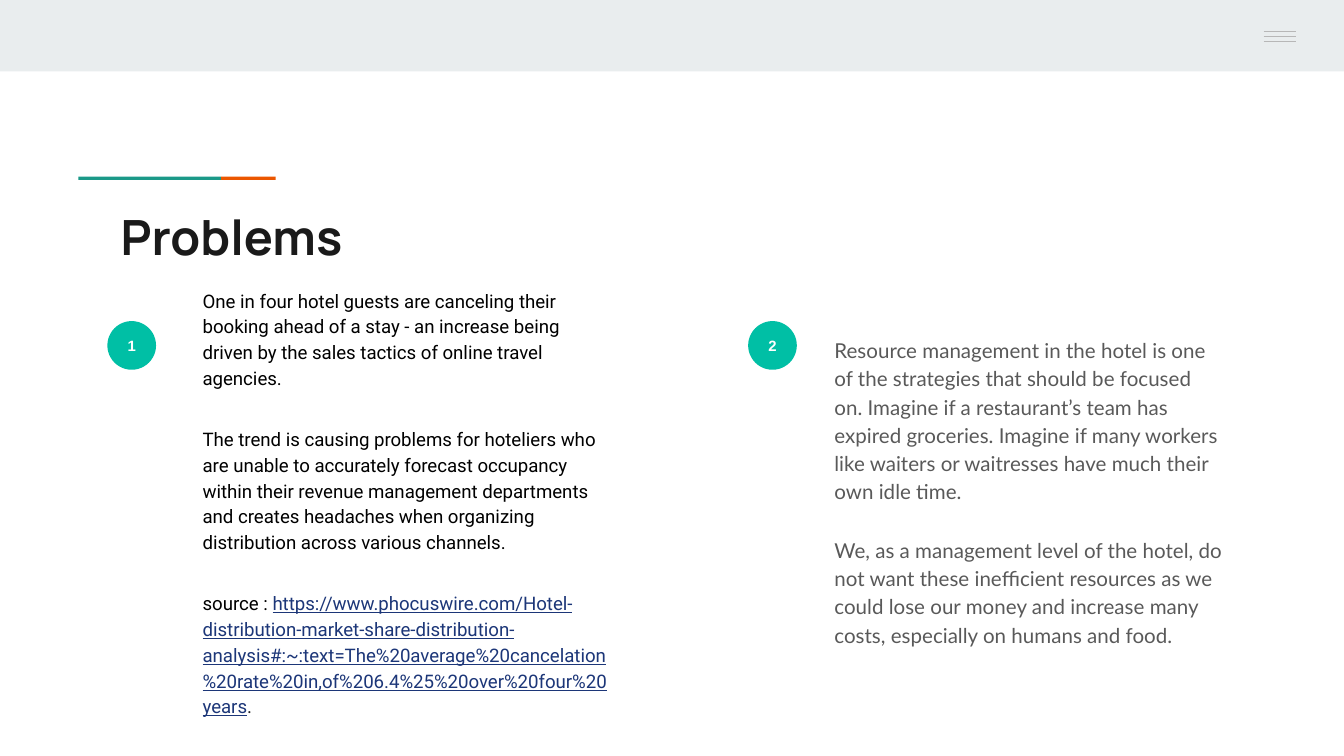
from typing import NamedTuple, Optional

from lxml import etree
from pptx import Presentation
from pptx.dml.color import RGBColor
from pptx.enum import shapes, text
from pptx.oxml import ns
from pptx.util import Cm, Pt

BAND = RGBColor(0xE9, 0xED, 0xEE)
TEAL = RGBColor(0x1A, 0x99, 0x88)
ORANGE = RGBColor(0xEB, 0x56, 0x00)
MENU = RGBColor(0xB7, 0xB7, 0xB7)
BADGE = RGBColor(0x00, 0xBF, 0xA5)
WHITE = RGBColor(0xFF, 0xFF, 0xFF)
BLACK = RGBColor(0x00, 0x00, 0x00)
INK = RGBColor(0x1A, 0x1A, 0x1A)
GREY = RGBColor(0x59, 0x59, 0x59)
LINK = RGBColor(0x1C, 0x36, 0x78)
STOP = RGBColor(0x20, 0x21, 0x24)


class Box(NamedTuple):
    left: float
    top: float
    width: float
    height: float

    def lengths(self) -> list:
        return [Cm(value) for value in self]


class Span(NamedTuple):
    text: str
    color: Optional[RGBColor] = None
    underline: bool = False


class Bar(NamedTuple):
    box: Box
    color: RGBColor


class Column(NamedTuple):
    number: str
    badge_left: float
    box: Box
    paragraphs: list
    font: str
    size: float
    color: RGBColor
    gap: float
    outline: Optional[RGBColor] = None


BARS = [
    Bar(Box(0, 0, 25.4, 1.35), BAND),
    Bar(Box(23.01, 0, 2.39, 1.27), BAND),
    Bar(Box(1.48, 3.34, 2.7, 0.06), TEAL),
    Bar(Box(4.18, 3.34, 1.03, 0.06), ORANGE),
]

COLUMNS = [
    Column("1", 2.03, Box(3.58, 5.16, 8.26, 9.13), [
        [Span("One in four hotel guests are canceling their booking ahead of a stay - "
              "an increase being driven by the sales tactics of online travel agencies.")],
        [Span("The trend is causing problems for hoteliers who are unable to accurately "
              "forecast occupancy within their revenue management departments and creates "
              "headaches when organizing distribution across various channels.")],
        [Span("source : "),
         Span("https://www.phocuswire.com/Hotel-distribution-market-share-distribution-"
              "analysis#:~:text=The%20average%20cancelation%20rate%20in,of%206.4%25%20"
              "over%20four%20years", LINK, True),
         Span(".", STOP)],
    ], "Roboto", 10, BLACK, 19),
    Column("2", 14.14, Box(15.52, 6.07, 7.87, 6.15), [
        [Span("Resource management in the hotel is one of the strategies that should be "
              "focused on. Imagine if a restaurant’s team has expired groceries. Imagine if "
              "many workers like waiters or waitresses have much their own idle time.")],
        [Span("We, as a management level of the hotel, do not want these inefficient "
              "resources as we could lose our money and increase many costs, especially on "
              "humans and food.")],
    ], "Lato", 11, GREY, 16, WHITE),
]


def write_text(shape, paragraphs: list, *, font: str, size: float, color: RGBColor,
               bold: bool = False, align=text.PP_ALIGN.LEFT,
               anchor=text.MSO_ANCHOR.TOP, line_spacing: float = 1.0,
               gap: float = 0) -> None:
    frame = shape.text_frame
    frame.word_wrap = True
    frame.auto_size = text.MSO_AUTO_SIZE.NONE
    frame.vertical_anchor = anchor
    frame.margin_left = frame.margin_right = Cm(0.25)
    frame.margin_top = frame.margin_bottom = Cm(0.25)
    for index, spans in enumerate(paragraphs):
        paragraph = frame.add_paragraph() if index else frame.paragraphs[0]
        paragraph.alignment = align
        paragraph.line_spacing = line_spacing
        paragraph.space_before = Pt(gap if index else 0)
        for span in spans:
            run = paragraph.add_run()
            run.text = span.text
            run.font.name = font
            run.font.size = Pt(size)
            run.font.bold = bold
            run.font.underline = span.underline
            run.font.color.rgb = span.color or color


def add_filled(slide, kind, box: Box, color: RGBColor):
    shape = slide.shapes.add_shape(kind, *box.lengths())
    shape.shadow.inherit = False
    shape.fill.solid()
    shape.fill.fore_color.rgb = color
    shape.line.fill.background()
    return shape


def add_menu_line(slide, top: float) -> None:
    line = slide.shapes.add_connector(shapes.MSO_CONNECTOR.STRAIGHT,
                                      Cm(23.88), Cm(top), Cm(24.49), Cm(top))
    line.line.color.rgb = MENU
    line.line.width = Pt(0.75)
    etree.SubElement(line._element.spPr, ns.qn("a:effectLst"))


def add_column(slide, column: Column) -> None:
    badge = add_filled(slide, shapes.MSO_SHAPE.OVAL,
                       Box(column.badge_left, 6.07, 0.92, 0.92), BADGE)
    write_text(badge, [[Span(column.number)]], font="Arial", size=8, color=WHITE,
               bold=True, align=text.PP_ALIGN.CENTER, anchor=text.MSO_ANCHOR.MIDDLE)
    body = slide.shapes.add_textbox(*column.box.lengths())
    if column.outline is not None:
        body.line.color.rgb = column.outline
        body.line.width = Pt(0.75)
    write_text(body, column.paragraphs, font=column.font, size=column.size,
               color=column.color, line_spacing=1.15, gap=column.gap)


def main() -> None:
    presentation = Presentation()
    presentation.slide_width = Cm(25.4)
    presentation.slide_height = Cm(14.29)
    slide = presentation.slides.add_slide(presentation.slide_layouts[5])

    for bar in BARS:
        add_filled(slide, shapes.MSO_SHAPE.RECTANGLE, bar.box, bar.color)
    for index in range(3):
        add_menu_line(slide, 0.6 + 0.09 * index)

    title = slide.shapes.title
    title.left, title.top, title.width, title.height = Box(2.03, 3.66, 21.36, 1.5).lengths()
    write_text(title, [[Span("Problems")]], font="Manrope", size=26, color=INK, bold=True)

    for column in COLUMNS:
        add_column(slide, column)

    presentation.save("out.pptx")


if __name__ == "__main__":
    main()
